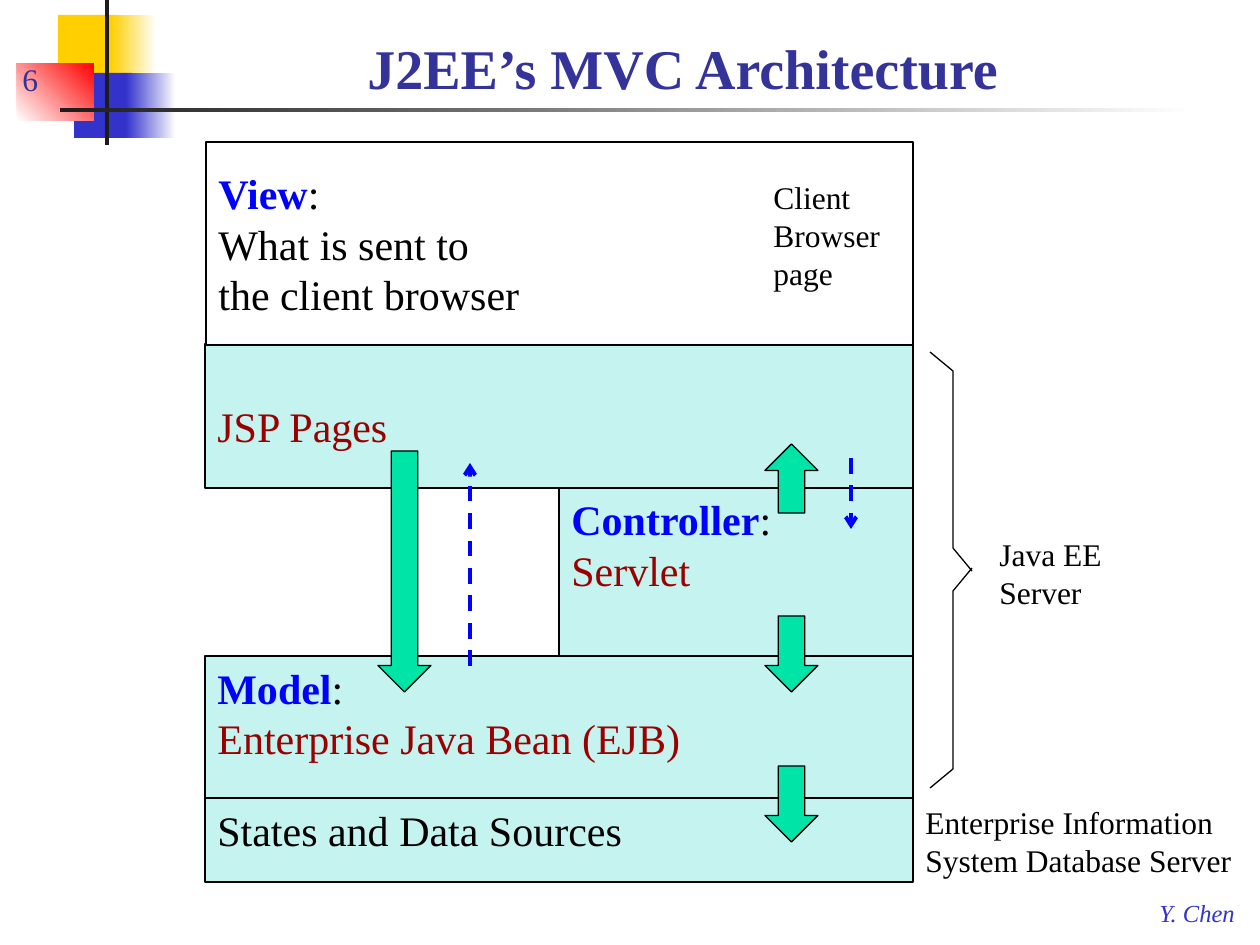
from lxml.etree import SubElement
from pptx import Presentation
from pptx.dml.color import RGBColor
from pptx.enum.dml import MSO_LINE
from pptx.enum.shapes import MSO_CONNECTOR, MSO_SHAPE as Shape
from pptx.enum.text import MSO_ANCHOR as Anchor, PP_ALIGN as Align
from pptx.oxml.ns import qn
from pptx.util import Pt

PX = 914400 / 126
FONT = "Times New Roman"
COLORS = {
    "black": "000000", "white": "FFFFFF", "ink": "1C1C1C", "gold": "FFCF01",
    "indigo": "3333CC", "red": "FF0000", "navy": "333399", "blue": "0000FF",
    "maroon": "990000", "mint": "C5F3EF", "green": "00E4A8",
}

# box in px (left, top, width, height), first colour, last colour, gradient angle
DECORATIONS = [
    ((58, 15, 60, 66), "gold", "gold", 0),
    ((111, 15, 45, 66), "gold", "white", 0),
    ((74, 73, 58, 65), "indigo", "indigo", 0),
    ((126, 73, 50, 65), "indigo", "white", 0),
    ((17, 63, 77, 58), "white", "red", 45),
    ((105, 0, 4, 145), "ink", "ink", 0),
    ((60, 108, 1134, 4), "ink", "white", 0),
]

# box, text, size, colour, further settings
LABELS = [
    ((116, 21, 1134, 86), "J2EE’s MVC Architecture", 32, "navy",
     {"bold": True, "align": Align.CENTER, "anchor": Anchor.BOTTOM}),
    ((10, 42, 94, 62), "6", 18, "navy", {"anchor": Anchor.BOTTOM}),
    ((1147, 892, 103, 42), "Y. Chen", 14, "indigo", {"italic": True, "wrap": False}),
    ((987, 529, 179, 89), "Java EE Server", 18, "black", {}),
    ((913, 797, 347, 89), "Enterprise Information System Database Server", 18, "black", {}),
    ((761, 172, 136, 127), "Client Browser page", 18, "black", {}),
]

# box, fill, anchor, top inset, lines of (text, colour, bold) runs
LAYERS = [
    ((559, 488, 354, 168), "mint", Anchor.TOP, 6,
     [[("Controller", "blue", True), (":", "black", False)],
      [("Servlet", "maroon", False)]]),
    ((205, 344, 708, 144), "mint", Anchor.TOP, 56,
     [[("JSP Pages", "maroon", False)]]),
    ((205, 656, 708, 142), "mint", Anchor.TOP, 6,
     [[("Model", "blue", True), (":", "black", False)],
      [("Enterprise Java Bean (EJB)", "maroon", False)]]),
    ((205, 798, 708, 84), "mint", Anchor.TOP, 6,
     [[("States and Data Sources", "black", False)]]),
    ((206, 142, 707, 203), "white", Anchor.MIDDLE, 6,
     [[("View", "blue", True), (":", "black", False)],
      [("What is sent to", "black", False)],
      [("the client browser", "black", False)]]),
]

BRACE_HALVES = [
    [(930, 352), (953, 371), (953, 548), (972, 571)],
    [(930, 788), (953, 769), (953, 591), (972, 568)],
]

ARROW_WIDTH = 53
# left, top, height, shape
BLOCK_ARROWS = [
    (765, 616, 76, Shape.DOWN_ARROW),
    (378, 451, 241, Shape.DOWN_ARROW),
    (765, 444, 69, Shape.UP_ARROW),
    (765, 766, 76, Shape.DOWN_ARROW),
]
# x, start y, end y
DASHED_ARROWS = [(470, 666, 463), (851, 458, 529)]


def emu(*lengths):
    return [round(length * PX) for length in lengths]


def rgb(name):
    return RGBColor.from_string(COLORS[name])


def outline(shape):
    shape.line.color.rgb = rgb("black")
    shape.line.width = Pt(0.75)


def add_block(slide, kind, box, fill):
    block = slide.shapes.add_shape(kind, *emu(*box))
    block.shadow.inherit = False
    block.fill.solid()
    block.fill.fore_color.rgb = rgb(fill)
    return block


def add_run(paragraph, text, size, color, bold=False, italic=False):
    run = paragraph.add_run()
    run.text = text
    font = run.font
    font.name, font.size, font.bold, font.italic = FONT, Pt(size), bold, italic
    font.color.rgb = rgb(color)


def add_decoration(slide, box, first, last, angle):
    block = add_block(slide, Shape.RECTANGLE, box, first)
    block.line.fill.background()
    if first != last:
        block.fill.gradient()
        block.fill.gradient_angle = angle
        for stop, color in zip(block.fill.gradient_stops, (first, last)):
            stop.color.rgb = rgb(color)


def add_label(slide, box, text, size, color, align=Align.LEFT, anchor=Anchor.TOP,
              wrap=True, **style):
    frame = slide.shapes.add_textbox(*emu(*box)).text_frame
    frame.word_wrap = wrap
    frame.vertical_anchor = anchor
    paragraph = frame.paragraphs[0]
    paragraph.alignment = align
    add_run(paragraph, text, size, color, **style)


def add_layer(slide, box, fill, anchor, top_inset, lines):
    layer = add_block(slide, Shape.RECTANGLE, box, fill)
    outline(layer)
    frame = layer.text_frame
    frame.word_wrap = True
    frame.vertical_anchor = anchor
    frame.margin_top = emu(top_inset)[0]
    for index, line in enumerate(lines):
        paragraph = frame.add_paragraph() if index else frame.paragraphs[0]
        paragraph.alignment = Align.LEFT
        for text, color, bold in line:
            add_run(paragraph, text, 24, color, bold)


def add_brace_half(slide, points):
    builder = slide.shapes.build_freeform(*points[0], scale=PX)
    builder.add_line_segments(points[1:], close=False)
    half = builder.convert_to_shape()
    half.shadow.inherit = False
    half.fill.background()
    outline(half)


def add_dashed_arrow(slide, x, start, end):
    arrow = slide.shapes.add_connector(MSO_CONNECTOR.STRAIGHT, *emu(x, start, x, end))
    arrow.line.color.rgb = rgb("blue")
    arrow.line.width = Pt(2.25)
    arrow.line.dash_style = MSO_LINE.DASH
    SubElement(arrow.line._get_or_add_ln(), qn("a:tailEnd"), type="arrow")
    SubElement(arrow._element.spPr, qn("a:effectLst"))


def main():
    deck = Presentation()
    deck.slide_width, deck.slide_height = emu(1260, 945)
    slide = deck.slides.add_slide(deck.slide_layouts[6])

    for decoration in DECORATIONS:
        add_decoration(slide, *decoration)
    for points in BRACE_HALVES:
        add_brace_half(slide, points)
    for layer in LAYERS:
        add_layer(slide, *layer)
    for box, text, size, color, settings in LABELS:
        add_label(slide, box, text, size, color, **settings)
    for left, top, height, kind in BLOCK_ARROWS:
        outline(add_block(slide, kind, (left, top, ARROW_WIDTH, height), "green"))
    for dashed in DASHED_ARROWS:
        add_dashed_arrow(slide, *dashed)

    deck.save("out.pptx")


if __name__ == "__main__":
    main()
